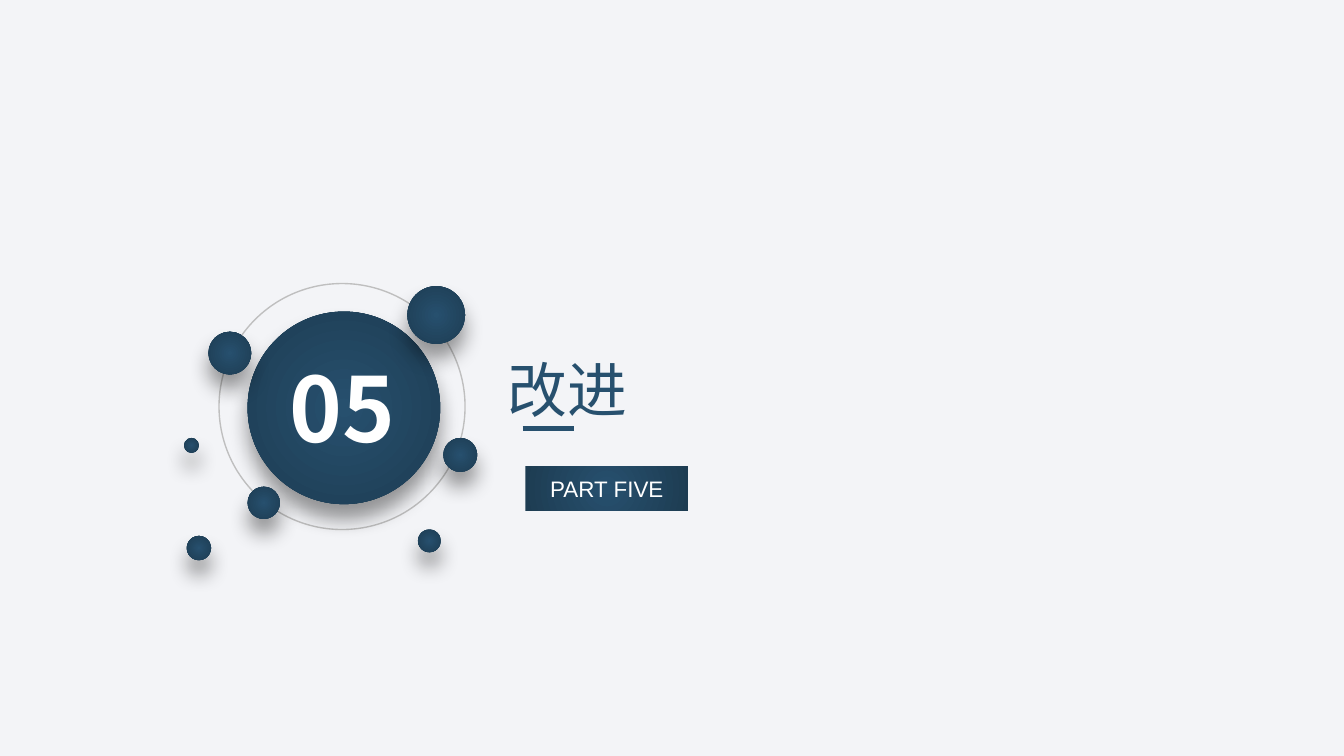
from lxml import etree
from pptx import Presentation
from pptx.dml.color import RGBColor
from pptx.enum.shapes import MSO_CONNECTOR, MSO_SHAPE
from pptx.enum.text import MSO_ANCHOR, MSO_AUTO_SIZE, PP_ALIGN
from pptx.oxml.ns import qn
from pptx.util import Cm, Pt

OVAL, RECTANGLE = MSO_SHAPE.OVAL, MSO_SHAPE.RECTANGLE
STRAIGHT = MSO_CONNECTOR.STRAIGHT
MIDDLE = MSO_ANCHOR.MIDDLE
GROW = MSO_AUTO_SIZE.SHAPE_TO_FIT_TEXT
LEFT, CENTER = PP_ALIGN.LEFT, PP_ALIGN.CENTER

COLORS = {"page": "F3F4F7", "ring": "BFBFBF", "blue": "27506E",
          "navy": "1D3C52", "white": "FFFFFF", "shadow": "000000"}
CJK_FONT, LATIN_FONT = "Noto Sans CJK SC", "Arial"

# Small dots of the emblem: left, top, diameter in cm
DOTS = [(4.22, 0.05, 1.09), (0.46, 0.91, 0.81), (0.05, 4.77, 0.46),
        (1.2, 3.84, 0.61), (4.9, 2.92, 0.64), (4.42, 4.65, 0.43),
        (0, 2.92, 0.28)]


def color(name):
    return RGBColor.from_string(COLORS[name])


def add_plain_shape(page, kind, left, top, width, height):
    shape = page.shapes.add_shape(kind, Cm(left), Cm(top), Cm(width), Cm(height))
    shape.shadow.inherit = False
    shape.fill.background()
    shape.line.fill.background()
    return shape


def fill_radial(shape):
    """Blue in the centre, navy at the edge."""
    shape.fill.gradient()
    for stop, name, position in zip(shape.fill.gradient_stops, ("blue", "navy"), (0, 1)):
        stop.color.rgb = color(name)
        stop.position = position
    gradient = shape._element.spPr.find(qn("a:gradFill"))
    gradient.remove(gradient.find(qn("a:lin")))
    radial = etree.SubElement(gradient, qn("a:path"), path="circle")
    etree.SubElement(radial, qn("a:fillToRect"),
                     l="50000", t="50000", r="50000", b="50000")


def add_ball(page, left, top, diameter):
    """Radial disc with a soft shadow below it."""
    ball = add_plain_shape(page, OVAL, left, top, diameter, diameter)
    fill_radial(ball)
    effects = ball._element.spPr.find(qn("a:effectLst"))
    shadow = etree.SubElement(effects, qn("a:outerShdw"), blurRad=str(Pt(11)),
                              dist=str(Pt(8)), dir="5400000", algn="t", rotWithShape="0")
    tint = etree.SubElement(shadow, qn("a:srgbClr"), val=COLORS["shadow"])
    etree.SubElement(tint, qn("a:alpha"), val="40000")


def write(frame, text, size, font, color_name, align=LEFT, bold=False):
    frame.text = text
    para = frame.paragraphs[0]
    para.alignment = align
    span = para.runs[0]
    span.font.size, span.font.name, span.font.bold = Pt(size), font, bold
    span.font.color.rgb = color(color_name)
    etree.SubElement(span.font._element, qn("a:ea"), typeface=font)


def add_label(page, left, top, width, height, *style, **options):
    box = page.shapes.add_textbox(Cm(left), Cm(top), Cm(width), Cm(height))
    box.text_frame.word_wrap = False
    box.text_frame.auto_size = GROW
    write(box.text_frame, *style, **options)


def add_emblem(page, left, top, number):
    # Thin ring behind the numbered disc
    ring = add_plain_shape(page, OVAL, left + 0.66, top, 4.65, 4.65)
    ring.line.color.rgb = color("ring")
    ring.line.width = Pt(0.75)

    # Numbered disc
    add_ball(page, left + 1.2, top + 0.53, 3.64)
    add_label(page, left + 1.68, top + 1.19, 2.62, 2.31,
              number, 48, CJK_FONT, "white", align=CENTER, bold=True)

    # Scattered dots
    for x, y, diameter in DOTS:
        add_ball(page, left + x, top + y, diameter)


def add_heading(page, left, top, title, part):
    # Title and its short underline
    add_label(page, left, top, 2.79, 1.63, title, 32, CJK_FONT, "blue")
    rule_y = Cm(top + 1.55)
    rule = page.shapes.add_connector(STRAIGHT, Cm(left + 0.53), rule_y,
                                     Cm(left + 1.5), rule_y)
    rule.line.color.rgb = color("blue")
    rule.line.width = Pt(2.25)
    etree.SubElement(rule._element.spPr, qn("a:effectLst"))

    # Part badge
    badge = add_plain_shape(page, RECTANGLE, left + 0.58, top + 2.26, 3.08, 0.85)
    fill_radial(badge)
    badge.text_frame.vertical_anchor = MIDDLE
    write(badge.text_frame, part, 12, LATIN_FONT, "white", align=CENTER)


def main():
    deck = Presentation()
    deck.slide_width, deck.slide_height = Cm(25.4), Cm(14.29)
    page = deck.slides.add_slide(deck.slide_layouts[6])
    page.background.fill.solid()
    page.background.fill.fore_color.rgb = color("page")
    add_emblem(page, 3.48, 5.36, "05")
    add_heading(page, 9.35, 6.55, "改进", "PART FIVE")
    deck.save("out.pptx")


if __name__ == "__main__":
    main()
